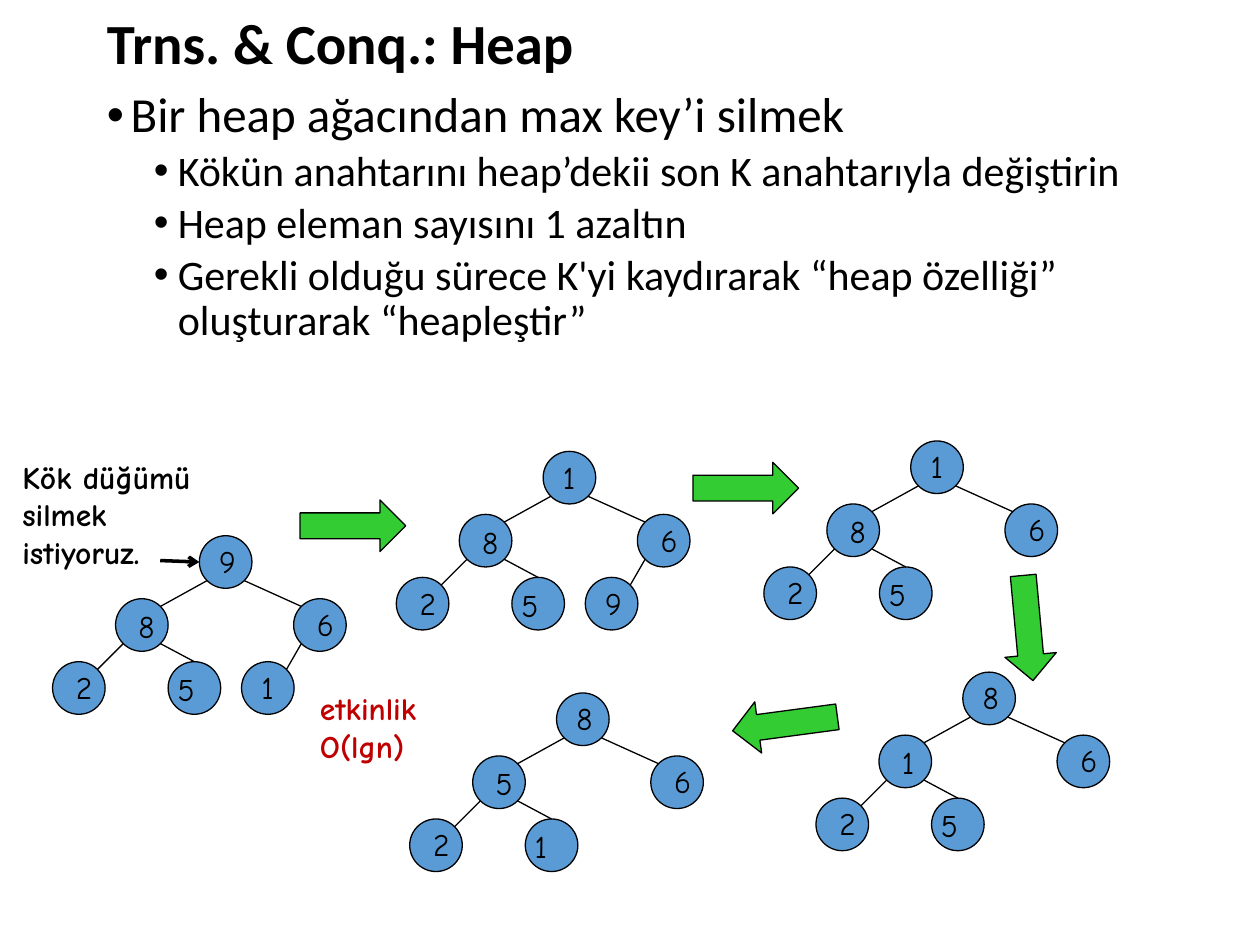
from lxml import etree
from pptx import Presentation
from pptx import util as u
from pptx.dml.color import RGBColor
from pptx.enum import shapes, text
from pptx.oxml import ns

D = 1.06  # node diameter, cm
NEAR, FAR = D * 0.146, D * 0.854  # diagonal points on a circle
BL, BR, TL, TR, TOP = (NEAR, FAR), (FAR, FAR), (NEAR, NEAR), (FAR, NEAR), (D / 2, 0)

# Node offsets from the root, then label offsets inside the node (cm)
NODES = [(0, 0), (-1.69, 1.27), (1.9, 1.27), (-2.96, 2.54), (-0.63, 2.54), (0.85, 2.54)]
LABELS = [(0.15, 0), (0.21, 0.04), (0.22, 0), (0.22, 0), (-0.06, 0.04), (0.15, 0)]
# parent, point on parent, child, point on child
EDGES = [(0, BL, 1, TR), (0, BR, 2, TL), (1, BL, 3, TR), (1, BR, 4, TOP), (2, BL, 5, TR)]

# Root position and keys in level order
HEAPS = [
    (4.02, 10.8, "986251"),
    (10.95, 9.1, "186259"),
    (18.36, 8.89, "18625"),
    (19.41, 13.55, "81625"),
    (11.22, 13.97, "85621"),
]
# left, top, rotation of the arrows between heaps
ARROWS = [(6.05, 10.08, 0), (13.97, 9.32, 0), (19.66, 12.14, 84.7), (14.76, 14.07, 172.4)]

BULLETS = [
    (0, "Bir heap ağacından max key’i silmek"),
    (1, "Kökün anahtarını heap’dekii son K anahtarıyla değiştirin"),
    (1, "Heap eleman sayısını 1 azaltın"),
    (1, "Gerekli olduğu sürece K'yi kaydırarak “heap özelliği” oluşturarak “heapleştir”"),
]


def rgb(value):
    return RGBColor.from_string(value)


def place(sp, x, y, w, h):
    sp.left, sp.top, sp.width, sp.height = u.Cm(x), u.Cm(y), u.Cm(w), u.Cm(h)


def style_runs(p, size, font, color="000000", bold=False):
    for r in p.runs:
        r.font.size, r.font.name, r.font.bold = u.Pt(size), font, bold
        r.font.color.rgb = rgb(color)


def add_title(s):
    sp = s.shapes.title
    place(sp, 1.9, 0.2, 19.08, 1.47)
    tf = sp.text_frame
    tf.text = "Trns. & Conq.: Heap"
    tf.vertical_anchor = text.MSO_ANCHOR.MIDDLE
    tf.auto_size = text.MSO_AUTO_SIZE.NONE
    p = tf.paragraphs[0]
    p.alignment, p.line_spacing = text.PP_ALIGN.LEFT, 0.9
    style_runs(p, 32.4, "Calibri", bold=True)


def add_bullets(s):
    sp = s.placeholders[1]
    place(sp, 1.9, 1.7, 21.39, 13.54)
    tf = sp.text_frame
    tf.auto_size = text.MSO_AUTO_SIZE.NONE
    tf.text = "\n".join(line for _, line in BULLETS)
    for p, (level, _) in zip(tf.paragraphs, BULLETS):
        p.level, p.line_spacing = level, 0.9
        p.space_before = u.Pt(3.8 if level else 7.5)
        pPr = p._p.get_or_add_pPr()
        pPr.set("marL", str(u.Cm(1.43 if level else 0.48)))
        pPr.set("indent", str(-u.Cm(0.48)))
        etree.SubElement(pPr, ns.qn("a:buChar"), char="•")
        style_runs(p, 24 if level else 28, "Calibri")


def add_text(s, x, y, w, h, words, color="000000", bold=False):
    sp = s.shapes.add_textbox(u.Cm(x), u.Cm(y), u.Cm(w), u.Cm(h))
    tf = sp.text_frame
    tf.word_wrap = False
    tf.auto_size = text.MSO_AUTO_SIZE.SHAPE_TO_FIT_TEXT
    tf.text = words
    for p in tf.paragraphs:
        style_runs(p, 18, "Comic Neue", color, bold)


def add_shape(s, kind, x, y, w, h, fill, rotation=0):
    sp = s.shapes.add_shape(kind, u.Cm(x), u.Cm(y), u.Cm(w), u.Cm(h))
    sp.shadow.inherit = False
    sp.rotation = rotation
    sp.fill.solid()
    sp.fill.fore_color.rgb = rgb(fill)
    sp.line.color.rgb = rgb("000000")
    sp.line.width = u.Pt(0.75)


def add_line(s, x1, y1, x2, y2, width=0.75, arrow=False):
    c = s.shapes.add_connector(
        shapes.MSO_CONNECTOR.STRAIGHT, u.Cm(x1), u.Cm(y1), u.Cm(x2), u.Cm(y2))
    c.line.color.rgb = rgb("000000")
    c.line.width = u.Pt(width)
    if arrow:
        etree.SubElement(c.line._get_or_add_ln(), ns.qn("a:tailEnd"), type="arrow")
    etree.SubElement(c._element.spPr, ns.qn("a:effectLst"))


def add_heap(s, x, y, keys):
    spots = [(x + dx, y + dy) for dx, dy in NODES[:len(keys)]]
    for left, top in spots:
        add_shape(s, shapes.MSO_SHAPE.OVAL, left, top, D, D, "5B9BD5")
    for parent, start, child, end in EDGES[:len(keys) - 1]:
        (px, py), (cx, cy) = spots[parent], spots[child]
        add_line(s, px + start[0], py + start[1], cx + end[0], cy + end[1])
    for key, (left, top), (dx, dy) in zip(keys, spots, LABELS):
        add_text(s, left + dx, top + dy, 0.81 if key == "1" else 0.91, 1.02, key)


def main():
    prs = Presentation()
    prs.slide_width, prs.slide_height = u.Cm(25.4), u.Cm(19.05)
    s = prs.slides.add_slide(prs.slide_layouts[1])

    # Title and list
    add_title(s)
    add_bullets(s)

    # Heap states, in the order of the deletion
    for x, y, keys in HEAPS:
        add_heap(s, x, y, keys)
    for x, y, rotation in ARROWS:
        add_shape(s, shapes.MSO_SHAPE.RIGHT_ARROW, x, y, 2.13, 1.04, "33CC33", rotation)

    # Notes beside the trees
    add_text(s, 0.2, 9.1, 4.09, 2.57, "Kök düğümü\nsilmek\nistiyoruz.", bold=True)
    add_line(s, 3.23, 11.3, 4.02, 11.33, width=2, arrow=True)
    add_text(s, 6.2, 13.77, 2.74, 1.8, "etkinlik\nO(lgn)", "C00000", bold=True)

    prs.save("out.pptx")


if __name__ == "__main__":
    main()
